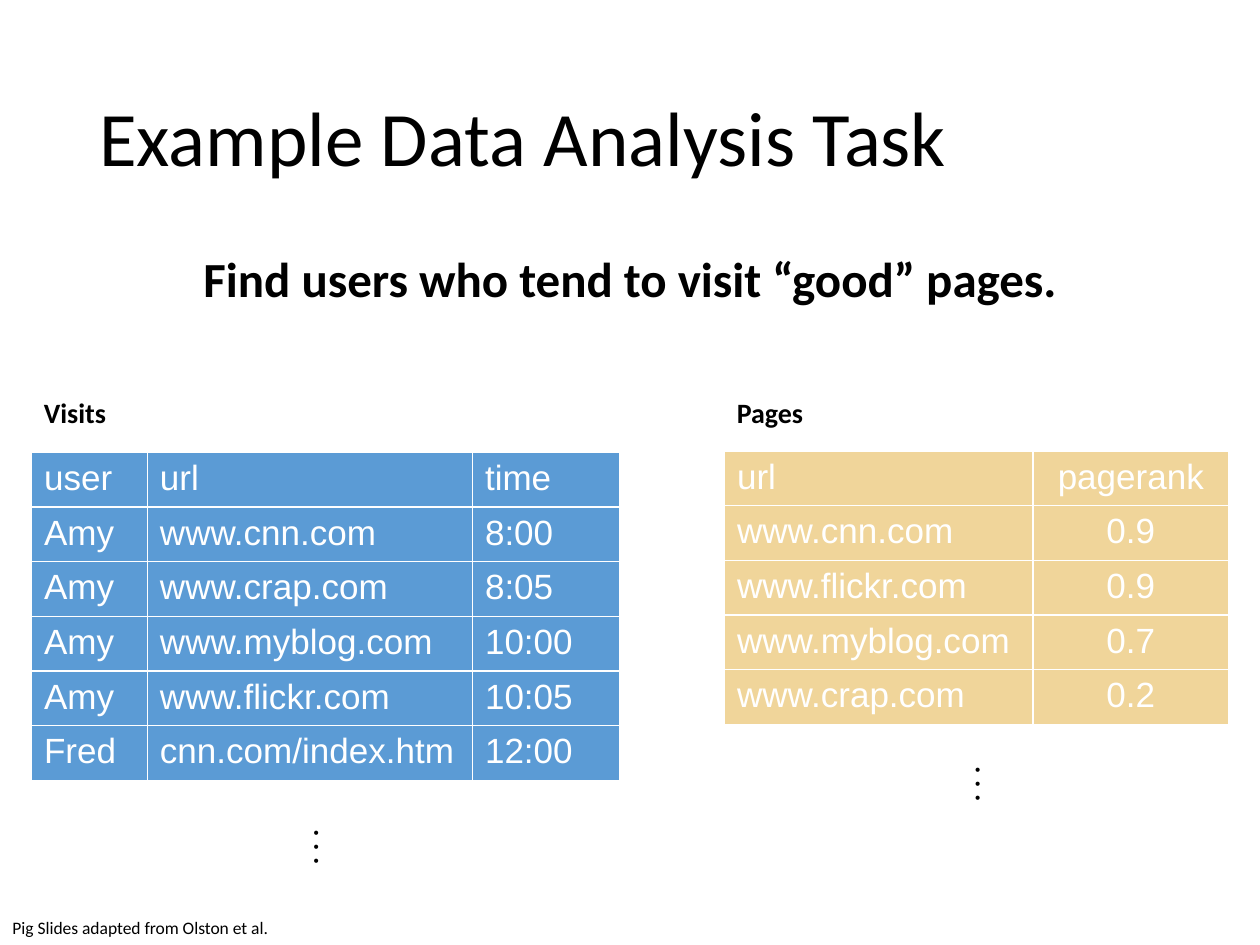
from lxml.etree import SubElement
from pptx import Presentation
from pptx.dml.color import RGBColor as Rgb
from pptx.enum.text import MSO_ANCHOR as Anchor, MSO_AUTO_SIZE as AutoSize, PP_ALIGN as Align
from pptx.oxml.ns import qn
from pptx.util import Inches, Pt

COLORS = {"text": "000000", "light": "FFFFFF", "visits": "5B9BD5", "pages": "F0D59A"}
VISITS = [
    ("user", "url", "time"),
    ("Amy", "www.cnn.com", "8:00"),
    ("Amy", "www.crap.com", "8:05"),
    ("Amy", "www.myblog.com", "10:00"),
    ("Amy", "www.flickr.com", "10:05"),
    ("Fred", "cnn.com/index.htm", "12:00"),
]
PAGES = [
    ("url", "pagerank"),
    ("www.cnn.com", "0.9"),
    ("www.flickr.com", "0.9"),
    ("www.myblog.com", "0.7"),
    ("www.crap.com", "0.2"),
]


class SlideBuilder:
    """Adds consistently styled text and tables to one slide."""

    def __init__(self, slide):
        self.slide = slide
        self.text_font = "Calibri"
        self.table_font = "Arial"

    def add_words(self, paragraph, words, size, font, color="text", bold=False, align=Align.LEFT):
        paragraph.alignment = align
        run = paragraph.add_run()
        run.text = words
        run.font.name = font
        run.font.size = Pt(size)
        run.font.bold = bold
        run.font.color.rgb = Rgb.from_string(COLORS[color])

    def text(self, words, box, size, bold=False, align=Align.LEFT, wrap=True, rotation=0):
        label = self.slide.shapes.add_textbox(*map(Inches, box))
        label.rotation = rotation
        frame = label.text_frame
        frame.word_wrap = wrap
        frame.auto_size = AutoSize.SHAPE_TO_FIT_TEXT
        self.add_words(frame.paragraphs[0], words, size, self.text_font, bold=bold, align=align)

    def title(self, words, box):
        heading = self.slide.shapes.add_textbox(*map(Inches, box))
        frame = heading.text_frame
        frame.word_wrap = True
        frame.vertical_anchor = Anchor.MIDDLE
        frame.paragraphs[0].line_spacing = 0.9
        self.add_words(frame.paragraphs[0], words, 44, self.text_font)

    def border(self, cell):
        properties = cell._tc.get_or_add_tcPr()
        for side in ("a:lnL", "a:lnR", "a:lnT", "a:lnB"):
            line = SubElement(properties, qn(side), w=str(Pt(1)))
            fill = SubElement(line, qn("a:solidFill"))
            SubElement(fill, qn("a:srgbClr"), val=COLORS["light"])

    def table(self, records, left, top, widths, heights, color, aligns):
        box = (left, top, sum(widths), sum(heights))
        grid = self.slide.shapes.add_table(len(records), len(widths), *map(Inches, box)).table
        grid.first_row = grid.horz_banding = False
        for column, width in zip(grid.columns, widths):
            column.width = Inches(width)
        for row, height, record in zip(grid.rows, heights, records):
            row.height = Inches(height)
            for cell, words, align in zip(row.cells, record, aligns):
                self.border(cell)
                cell.fill.solid()
                cell.fill.fore_color.rgb = Rgb.from_string(COLORS[color])
                paragraph = cell.text_frame.paragraphs[0]
                self.add_words(paragraph, words, 20, self.table_font, "light", align=align)


def main():
    deck = Presentation()
    deck.slide_width, deck.slide_height = Inches(10), Inches(7.5)
    builder = SlideBuilder(deck.slides.add_slide(deck.slide_layouts[6]))

    builder.title("Example Data Analysis Task", (0.69, 0.4, 8.62, 1.45))
    builder.table(VISITS, 0.25, 3.59, [0.92, 2.58, 1.17], [0.41] * 4 + [0.43] * 2,
                  "visits", [Align.LEFT] * 3)
    builder.table(PAGES, 5.75, 3.58, [2.45, 1.55], [0.41] * 4 + [0.43],
                  "pages", [Align.LEFT, Align.CENTER])
    builder.text("Find users who tend to visit “good” pages.", (0, 1.92, 10, 0.57), 28,
                 bold=True, align=Align.CENTER)
    for name, left, width in (("Pages", 5.75, 0.86), ("Visits", 0.25, 0.8)):
        builder.text(name, (left, 3.09, width, 0.37), 16, bold=True, wrap=False)
    for left, top in ((2.32, 6.56), (7.57, 6.06)):
        builder.text(". . .", (left, top, 0.52, 0.37), 16, bold=True, wrap=False, rotation=90)
    builder.text("Pig Slides adapted from Olston et al.", (0, 7.23, 3.75, 0.27), 10)
    deck.save("out.pptx")


if __name__ == "__main__":
    main()
